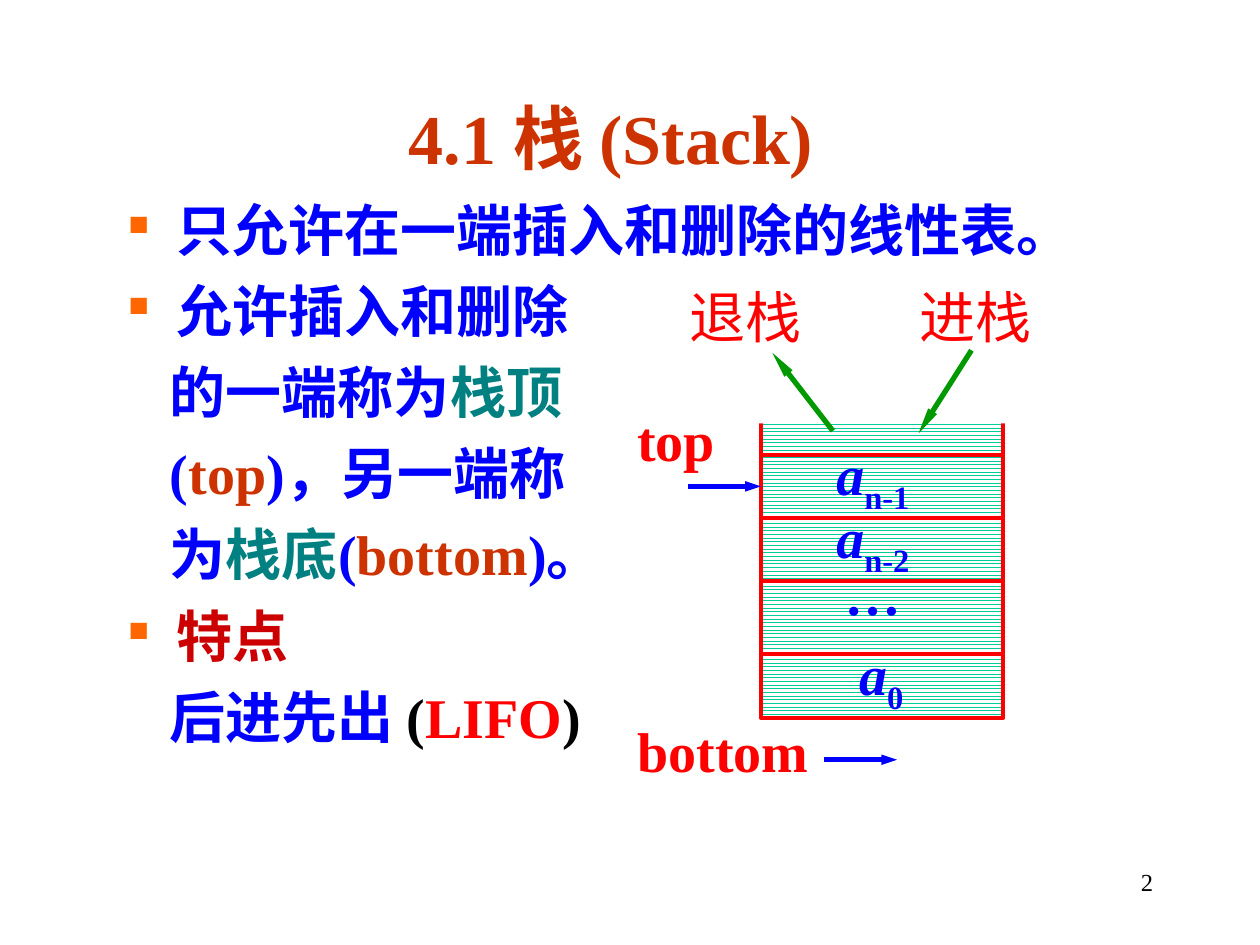
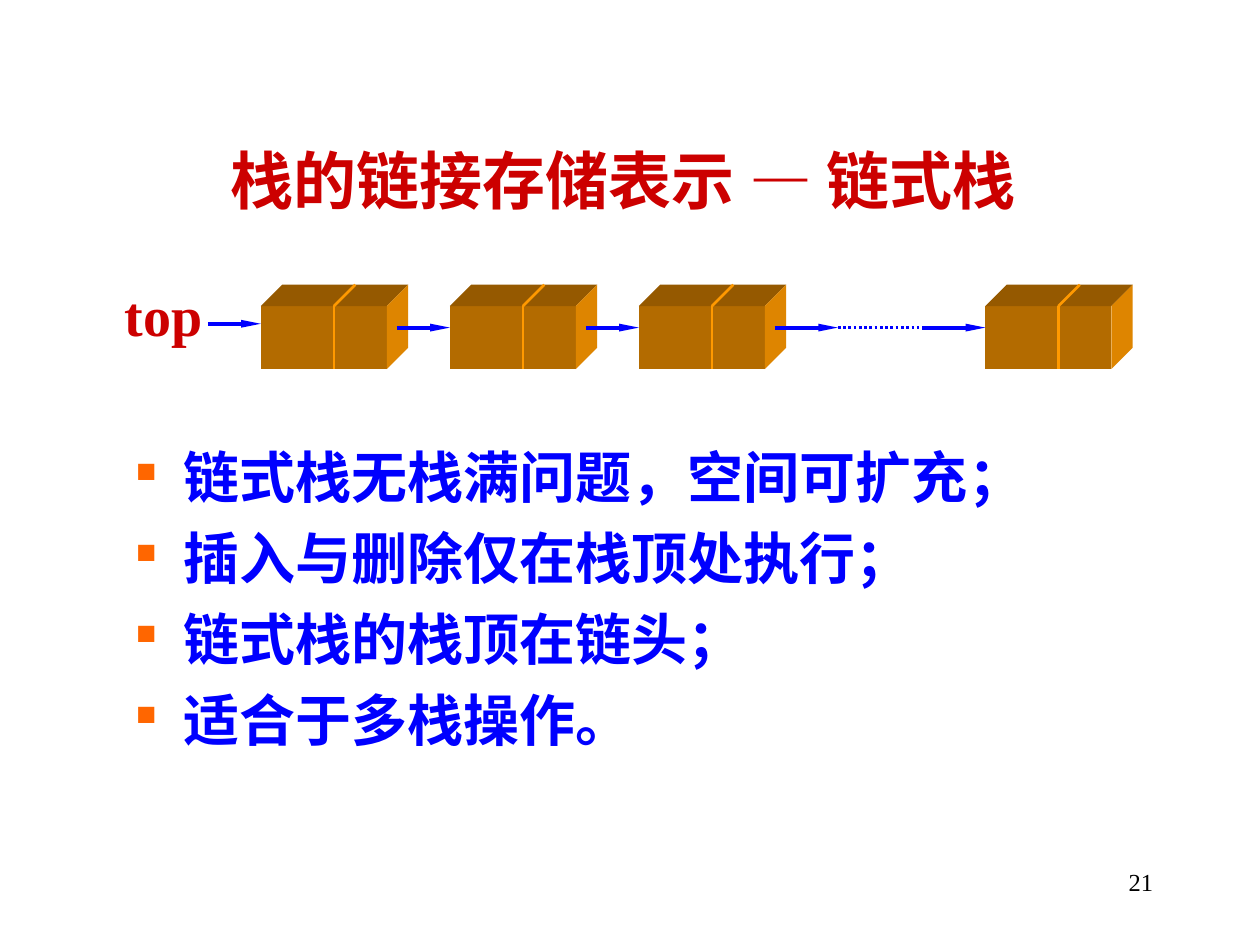
from dataclasses import dataclass

from lxml.etree import SubElement
from pptx import Presentation
from pptx.dml.color import RGBColor
from pptx.enum.dml import MSO_LINE, MSO_PATTERN
from pptx.enum.shapes import MSO_CONNECTOR, MSO_SHAPE
from pptx.enum.text import MSO_ANCHOR, MSO_AUTO_SIZE, PP_ALIGN
from pptx.oxml.ns import qn
from pptx.util import Inches, Pt


@dataclass(frozen=True)
class Theme:
    font: str = "Times New Roman"
    blue: str = "0000FF"
    red: str = "FF0000"
    dark_red: str = "CC0000"
    rust: str = "CC3300"
    teal: str = "008080"
    green: str = "009900"
    black: str = "000000"
    white: str = "FFFFFF"
    bullet: str = "FF6600"
    hatch: str = "00CC99"
    node_edge: str = "FF9900"
    node_front: str = "B36B00"
    node_top: str = "955900"
    node_side: str = "DE8500"
    body_size: int = 32
    number_size: int = 14


T = Theme()

# Body paragraphs: (has bullet, [(text, colour), ...])
STACK_BODY = [
    (True, [("只允许在一端插入和删除的线性表。", T.blue)]),
    (True, [("允许插入和删除", T.blue)]),
    (False, [("的一端称为", T.blue), ("栈顶", T.teal)]),
    (False, [("(", T.blue), ("top", T.rust), (")，另一端称", T.blue)]),
    (False, [("为", T.blue), ("栈底", T.teal), ("(", T.blue),
             ("bottom", T.rust), (")。", T.blue)]),
    (True, [("特点", T.dark_red)]),
    (False, [("后进先出 ", T.blue), ("(", T.black), ("LIFO", T.red), (")", T.black)]),
]
LINKED_BODY = [(True, [(text, T.blue)]) for text in (
    "链式栈无栈满问题，空间可扩充；",
    "插入与删除仅在栈顶处执行；",
    "链式栈的栈顶在链头；",
    "适合于多栈操作。",
)]

# Stack diagram
STACK_LEFT, STACK_RIGHT, STACK_TOP, STACK_BOTTOM = 6.04, 7.96, 3.28, 5.7
CELL_LINES = [3.61, 4.11, 4.61, 5.19]
CELLS = [("a", "n-1", 6.54, 3.44, 0.83), ("a", "n-2", 6.54, 3.94, 0.83),
         ("…", "", 6.62, 4.39, 0.65), ("a", "0", 6.72, 5.03, 0.57)]
STACK_LABELS = [("退栈", 5.37, 2.19, 1.09, False), ("进栈", 7.2, 2.19, 1.09, False),
                ("top", 4.96, 3.17, 0.82, True), ("bottom", 4.96, 5.64, 1.56, True)]
STACK_ARROWS = [((5.46, 3.86), (STACK_LEFT, 3.86), T.blue, "med"),
                ((6.54, 6.03), (7.12, 6.03), T.blue, "med"),
                ((7.71, 2.78), (7.29, 3.44), T.green, "lg"),
                ((6.61, 3.42), (6.13, 2.8), T.green, "lg")]

# Linked list diagram
NODE_LEFTS = [2.07, 3.57, 5.07, 7.82]
NODE_TOP, NODE_W, NODE_H, DEPTH, SPLIT = 2.43, 1, 0.5, 0.17, 0.58
LINK_Y, LINK_START = 2.6, 1.08
DOTS = (6.65, 7.32)


def rgb(value):
    return RGBColor.from_string(value)


def add_run(p, text, color, size=T.body_size, bold=True, italic=False):
    r = p.add_run()
    r.text = text
    f = r.font
    f.name, f.size, f.bold, f.italic = T.font, Pt(size), bold, italic
    f.color.rgb = rgb(color)
    return r


def add_text_box(slide, left, top, width, height=0.63, wrap=False):
    tf = slide.shapes.add_textbox(*map(Inches, (left, top, width, height))).text_frame
    tf.word_wrap = wrap
    return tf


def add_label(slide, text, left, top, width, color, bold=True):
    p = add_text_box(slide, left, top, width).paragraphs[0]
    add_run(p, text, color, bold=bold)


def add_body(slide, paragraphs, left, top, width, height):
    tf = add_text_box(slide, left, top, width, height, wrap=True)
    for i, (bulleted, runs) in enumerate(paragraphs):
        p = tf.add_paragraph() if i else tf.paragraphs[0]
        if i:
            p.space_before = Pt(8)
        pPr = p._p.get_or_add_pPr()
        pPr.set("marL", str(Inches(0.38 if bulleted else 0.33)))
        pPr.set("indent", str(Inches(-0.38 if bulleted else 0)))
        if bulleted:
            SubElement(SubElement(pPr, qn("a:buClr")), qn("a:srgbClr"), val=T.bullet)
            SubElement(pPr, qn("a:buSzPct"), val="50000")
            SubElement(pPr, qn("a:buChar"), char="■")
        else:
            SubElement(pPr, qn("a:buNone"))
        for text, color in runs:
            add_run(p, text, color)


def add_line(slide, start, end, color, width, head=None, dash=None):
    """Draw a straight line; head is the arrowhead length, if any."""
    line = slide.shapes.add_connector(
        MSO_CONNECTOR.STRAIGHT, *map(Inches, (*start, *end)))
    line.line.color.rgb = rgb(color)
    line.line.width = Pt(width)
    if dash:
        line.line.dash_style = dash
    if head:
        SubElement(line.line._get_or_add_ln(), qn("a:tailEnd"),
                   type="triangle", w="sm", len=head)
    SubElement(line._element.spPr, qn("a:effectLst"))


def add_rect(slide, left, top, right, bottom):
    sp = slide.shapes.add_shape(
        MSO_SHAPE.RECTANGLE, *map(Inches, (left, top, right - left, bottom - top)))
    sp.shadow.inherit = False
    return sp


def add_face(slide, points, color):
    corners = [(Inches(x), Inches(y)) for x, y in points]
    builder = slide.shapes.build_freeform(*corners[0])
    builder.add_line_segments(corners[1:], close=True)
    sp = builder.convert_to_shape()
    sp.shadow.inherit = False
    sp.fill.solid()
    sp.fill.fore_color.rgb = rgb(color)
    sp.line.fill.background()


def add_node(slide, left):
    """Draw a two-field list node as a block with a top and a right side."""
    right, top, bottom = left + NODE_W, NODE_TOP, NODE_TOP + NODE_H
    back_right, back_top = right + DEPTH, top - DEPTH
    add_face(slide, [(left, top), (right, top), (right, bottom), (left, bottom)],
             T.node_front)
    add_face(slide, [(left, top), (left + DEPTH, back_top), (back_right, back_top),
                     (right, top)], T.node_top)
    add_face(slide, [(right, top), (back_right, back_top),
                     (back_right, bottom - DEPTH), (right, bottom)], T.node_side)
    split = left + SPLIT
    for end in ((split, bottom), (split + DEPTH, back_top)):
        add_line(slide, (split, top), end, T.node_edge, 1.5)


def new_slide(prs, title, box, color, size, number):
    slide = prs.slides.add_slide(prs.slide_layouts[5])
    sp = slide.shapes.title
    sp.left, sp.top, sp.width, sp.height = map(Inches, box)
    tf = sp.text_frame
    tf.auto_size, tf.word_wrap = MSO_AUTO_SIZE.NONE, True
    tf.vertical_anchor = MSO_ANCHOR.MIDDLE
    tf.paragraphs[0].alignment = PP_ALIGN.CENTER
    add_run(tf.paragraphs[0], title, color, size)

    p = add_text_box(slide, 7.17, 6.83, 2.08, 0.5, wrap=True).paragraphs[0]
    p.alignment = PP_ALIGN.RIGHT
    add_run(p, number, T.black, T.number_size, bold=False)
    return slide


def build_stack_slide(prs):
    slide = new_slide(prs, "4.1 栈 (Stack)", (2.92, 0.58, 3.86, 1), T.rust, 40, "2")
    add_body(slide, STACK_BODY, 0.92, 1.5, 8.75, 5)

    stack = add_rect(slide, STACK_LEFT, STACK_TOP, STACK_RIGHT, STACK_BOTTOM)
    stack.fill.patterned()
    stack.fill.pattern = MSO_PATTERN.ZIG_ZAG
    stack.fill.fore_color.rgb = rgb(T.hatch)
    stack.fill.back_color.rgb = rgb(T.white)
    stack.line.color.rgb = rgb(T.red)
    stack.line.width = Pt(2.25)
    opening = add_rect(slide, 5.62, 3.11, 8.04, 3.36)
    opening.fill.solid()
    opening.fill.fore_color.rgb = rgb(T.white)
    opening.line.fill.background()

    for y in CELL_LINES:
        add_line(slide, (STACK_LEFT, y), (STACK_RIGHT, y), T.red, 2.25)
    for name, index, left, top, width in CELLS:
        p = add_text_box(slide, left, top, width).paragraphs[0]
        add_run(p, name, T.blue, italic=True)
        if index:
            r = add_run(p, index, T.blue)
            r.font._element.set("baseline", "-25000")
    for text, left, top, width, bold in STACK_LABELS:
        add_label(slide, text, left, top, width, T.red, bold)
    for start, end, color, head in STACK_ARROWS:
        add_line(slide, start, end, color, 3, head)


def build_linked_slide(prs):
    slide = new_slide(prs, "栈的链接存储表示 — 链式栈", (1.57, 1.01, 6.75, 0.83),
                      T.dark_red, 36, "21")
    add_body(slide, LINKED_BODY, 0.98, 3.46, 8.25, 2.92)
    add_label(slide, "top", 0.89, 2.18, 0.82, T.dark_red)
    for left in NODE_LEFTS:
        add_node(slide, left)

    add_line(slide, (1.65, 2.57), (NODE_LEFTS[0], 2.57), T.blue, 2.25, "lg")
    starts = [left + LINK_START for left in NODE_LEFTS[:-1]] + [DOTS[1]]
    ends = NODE_LEFTS[1:3] + [DOTS[0], NODE_LEFTS[-1]]
    for start, end in zip(starts, ends):
        add_line(slide, (start, LINK_Y), (end, LINK_Y), T.blue, 2.25, "lg")
    add_line(slide, (DOTS[0], LINK_Y), (DOTS[1], LINK_Y), T.blue, 1.5,
             dash=MSO_LINE.ROUND_DOT)


def main():
    prs = Presentation()
    prs.slide_width, prs.slide_height = Inches(10), Inches(7.5)
    build_stack_slide(prs)
    build_linked_slide(prs)
    prs.save("out.pptx")


if __name__ == "__main__":
    main()
